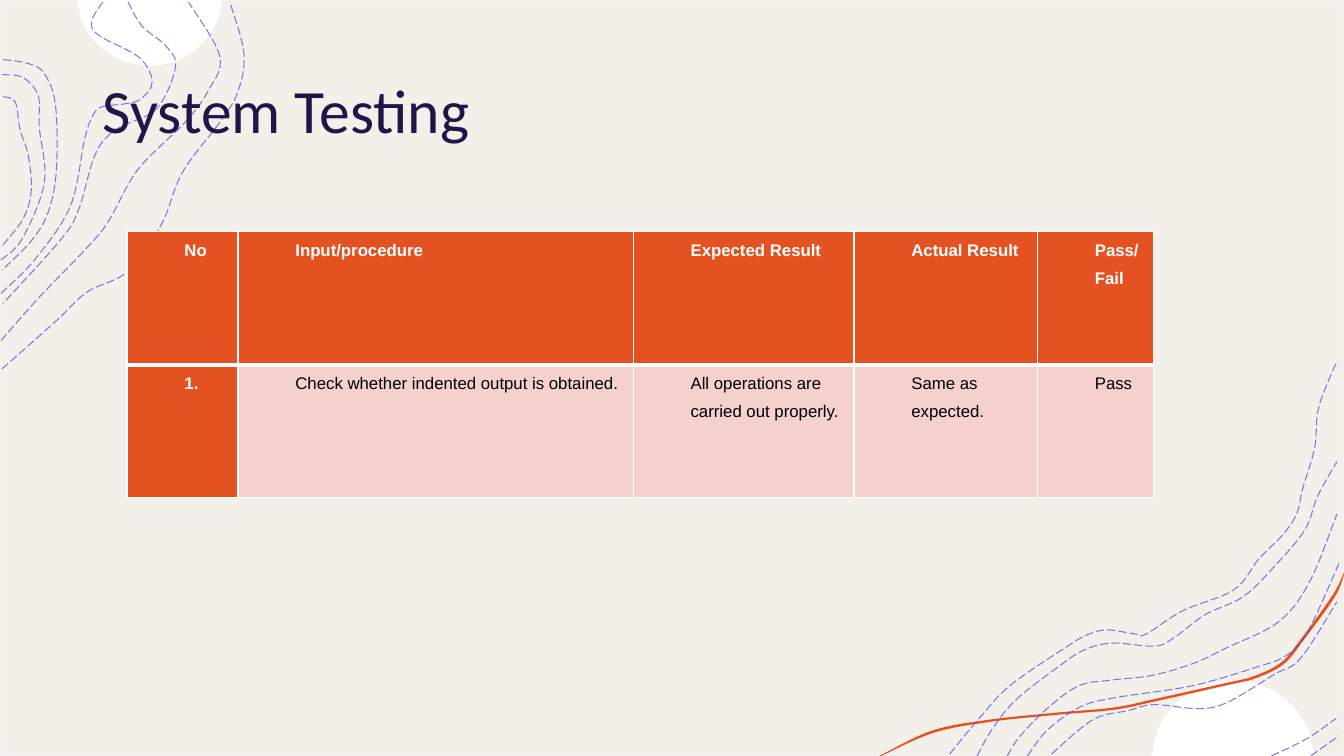
from math import asin, cos, pi, sin

from lxml import etree
from pptx import Presentation, util as u
from pptx.dml.color import RGBColor
from pptx.enum import dml, shapes, text
from pptx.oxml import ns

WIDTH, HEIGHT = 13.33, 7.5
CREAM = RGBColor(0xF3, 0xF0, 0xE9)
EDGE = RGBColor(0xF2, 0xF2, 0xF2)
WHITE = RGBColor(0xFF, 0xFF, 0xFF)
BLACK = RGBColor(0, 0, 0)
ORANGE = RGBColor(0xE4, 0x52, 0x21)
PINK = RGBColor(0xF5, 0xD1, 0xCD)
VIOLET = RGBColor(0x4D, 0x4E, 0xE6)
NAVY = RGBColor(0x20, 0x14, 0x49)

# Knots of the contour lines, in inches from the corner box
TOP_LEFT = [
    [(.02, 3.66), (.55, 3.19), (.86, 2.9), (1.27, 2.69), (1.6, 2.23), (1.81, 1.71),
     (2.19, 1.2), (2.36, .91), (2.42, .53), (2.28, .02)],
    [(.01, 3.38), (.38, 2.96), (.88, 2.44), (1.08, 2.19), (1.37, 1.68), (1.83, 1.22),
     (2.06, .91), (2.18, .56), (1.87, .02)],
    [(1.27, .02), (1.41, .26), (1.65, .46), (1.74, .67), (1.55, 1.08), (1.16, 1.28),
     (.95, 1.52), (.78, 2.08), (.6, 2.38), (.03, 3.01)],
    [(.01, 2.91), (.35, 2.57), (.7, 2.04), (.84, 1.38), (.92, 1.15), (1.01, 1.06),
     (1.24, 1.03), (1.4, .98), (1.51, .81), (1.38, .57), (.98, .35), (.91, .21), (1.02, .02)],
    [(.03, .59), (.28, .63), (.44, .73), (.55, 1.04), (.56, 1.68), (.48, 2.1), (.31, 2.39),
     (.02, 2.68)],
    [(.02, .74), (.23, .77), (.38, .95), (.39, 1.26), (.44, 1.81), (.22, 2.37), (.01, 2.58)],
    [(.03, .96), (.15, 1.01), (.2, 1.29), (.28, 1.54), (.31, 1.89), (.23, 2.17), (.03, 2.43)],
]
BOTTOM_RIGHT = [
    [(1.42, 4.48), (1.71, 4.13), (2.02, 3.8), (2.56, 3.43), (2.78, 3.3), (2.98, 3.25),
     (3.26, 3.29), (3.37, 3.29), (3.73, 3.06), (4.24, 2.85), (4.49, 2.54), (4.72, 2.31),
     (4.86, 2.1), (4.92, 1.85), (5.04, 1.44), (5.08, 1.04), (5.26, .58)],
    [(1.69, 4.5), (1.85, 4.22), (2.08, 3.94), (2.49, 3.62), (2.75, 3.45), (3.03, 3.38),
     (3.45, 3.41), (3.64, 3.33), (3.95, 3.1), (4.33, 2.92), (4.63, 2.63), (4.94, 2.26),
     (5.07, 1.92), (5.26, 1.58)],
    [(5, 4.5), (5.28, 4.3)],
    [(4.61, 4.5), (4.96, 4.33), (5.25, 4.13)],
    [(2.43, 4.48), (2.84, 4.14), (3.19, 4.05), (3.45, 3.99), (3.88, 4.03), (4.17, 3.97),
     (4.64, 3.69), (4.9, 3.53), (5.26, 2.97)],
    [(2.19, 4.5), (2.39, 4.24), (2.72, 4.01), (3.07, 3.92), (3.84, 3.8), (4.52, 3.6),
     (4.71, 3.53), (4.88, 3.4), (5.03, 3.15), (5.28, 2.59)],
    [(1.99, 4.5), (2.12, 4.3), (2.42, 4), (2.71, 3.8), (3, 3.75), (3.43, 3.7), (3.84, 3.58),
     (4.16, 3.43), (4.68, 3.17), (4.99, 2.77), (5.26, 2.1)],
]
RIBBON = [(.72, 4.5), (1.24, 4.25), (1.81, 4.14), (2.48, 4.07), (3.04, 4.02), (3.43, 3.94),
          (4.14, 3.78), (4.43, 3.71), (4.71, 3.57), (4.91, 3.33), (5.22, 2.9), (5.33, 2.68)]

COLUMNS = [1.1, 3.92, 2.19, 1.82, 1.15]
ROWS = [
    ["No", "Input/procedure", "Expected Result", "Actual Result", "Pass/Fail"],
    ["1.", "Check whether indented output is obtained.",
     "All operations are carried out properly.", "Same as expected.", "Pass"],
]


def smooth(shape):
    """Turn the straight segments into curves through the same knots."""
    knots = [(int(knot.get("x")), int(knot.get("y"))) for knot in shape.element.iter(ns.qn("a:pt"))]
    padded = [knots[0], *knots, knots[-1]]
    segments = list(shape.element.iter(ns.qn("a:lnTo")))
    for segment, a, b, c, d in zip(segments, padded, padded[1:], padded[2:], padded[3:]):
        segment.tag = ns.qn("a:cubicBezTo")
        controls = [[q + (r - p) / 6 for p, q, r in zip(a, b, c)],
                    [r - (s - q) / 6 for q, r, s in zip(b, c, d)]]
        for place, (x, y) in enumerate(controls):
            segment.insert(place, etree.Element(ns.qn("a:pt"), x=str(round(x)), y=str(round(y))))


def add_outline(parent, box, points, fill=None):
    placed = [(u.Inches(box[0] + x), u.Inches(box[1] + y)) for x, y in points]
    builder = parent.build_freeform(*placed[0], scale=1.0)
    builder.add_line_segments(placed[1:], close=fill is not None)
    shape = builder.convert_to_shape()
    smooth(shape)
    shape.shadow.inherit = False
    if fill is None:
        shape.fill.background()
    else:
        shape.fill.solid()
        shape.fill.fore_color.rgb = fill
        shape.line.fill.background()
    return shape


def add_backdrop(page):
    panel = page.shapes.add_shape(shapes.MSO_SHAPE.RECTANGLE, 0, 0, u.Inches(WIDTH), u.Inches(HEIGHT))
    panel.shadow.inherit = False
    panel.fill.solid()
    panel.fill.fore_color.rgb = CREAM
    panel.line.color.rgb = EDGE
    panel.line.width = u.Pt(1)


def add_cap(page, box, side):
    """Circle segment filling the box; side is 1 for a dome, -1 for a bowl."""
    width, height = box[2:]
    radius = (width ** 2 / 4 + height ** 2) / (2 * height)
    reach = asin(width / 2 / radius)
    if height > radius:
        reach = pi - reach
    angles = [reach * step / 4 for step in range(-4, 5)]
    rises = [height - radius + radius * cos(angle) for angle in angles]
    points = [(width / 2 + radius * sin(angle), height - rise if side > 0 else rise)
              for angle, rise in zip(angles, rises)]
    add_outline(page.shapes, box, points, WHITE)


def add_ribbon(page, box):
    lower = [(min(x + .02, box[2]), min(y + .02, box[3])) for x, y in RIBBON]
    add_outline(page.shapes, box, RIBBON + lower[::-1], ORANGE)


def add_contours(page, box, contours):
    group = page.shapes.add_group_shape()
    for knots in contours:
        contour = add_outline(group.shapes, box, knots)
        contour.line.color.rgb = VIOLET
        contour.line.width = u.Pt(.75)
        contour.line.dash_style = dml.MSO_LINE.LONG_DASH
        color = contour.element.spPr.find(ns.qn("a:ln")).find(".//" + ns.qn("a:srgbClr"))
        etree.SubElement(color, ns.qn("a:alpha"), val="75000")


def add_title(page, box, words):
    title = page.shapes.title
    page.shapes.element.append(title.element)  # bring in front of the decoration
    title.left, title.top, title.width, title.height = map(u.Inches, box)
    frame = title.text_frame
    frame.text = words
    frame.vertical_anchor = text.MSO_ANCHOR.MIDDLE
    para = frame.paragraphs[0]
    para.alignment = text.PP_ALIGN.LEFT
    para.line_spacing = .9
    font = para.runs[0].font
    font.name, font.size, font.color.rgb = "Calibri", u.Pt(44), NAVY


def set_borders(cell, widths):
    props = cell._tc.get_or_add_tcPr()
    for side, width in widths.items():
        line = etree.SubElement(props, ns.qn("a:ln" + side), w=str(u.Pt(width)))
        fill = etree.SubElement(line, ns.qn("a:solidFill"))
        etree.SubElement(fill, ns.qn("a:srgbClr"), val=str(WHITE))


def fill_cell(cell, words, heading, header_row, last):
    set_borders(cell, {"L": 1, "R": 1, "T": 1 if header_row else 3, "B": 3 if header_row else 1})
    cell.fill.solid()
    cell.fill.fore_color.rgb = ORANGE if heading else PINK
    cell.margin_left = cell.margin_right = u.Inches(.07)
    cell.margin_top = cell.margin_bottom = 0
    cell.text_frame.text = words
    para = cell.text_frame.paragraphs[0]
    props = para._p.get_or_add_pPr()
    props.set("marL", str(u.Inches(.5)))
    props.set("indent", "0")
    para.line_spacing = 1.5
    if last:
        para.space_after = u.Pt(10)
    font = para.runs[0].font
    font.name, font.size, font.bold = "Arial", u.Pt(12), heading
    font.color.rgb = WHITE if heading else BLACK


def add_results(page, box):
    table = page.shapes.add_table(len(ROWS), len(COLUMNS), *map(u.Inches, box)).table
    for column, width in zip(table.columns, COLUMNS):
        column.width = u.Inches(box[2] * width / sum(COLUMNS))
    for r, row in enumerate(ROWS):
        for c, words in enumerate(row):
            fill_cell(table.cell(r, c), words, r == 0 or c == 0, r == 0, c == len(row) - 1)


def main():
    deck = Presentation()
    deck.slide_width, deck.slide_height = u.Inches(WIDTH), u.Inches(HEIGHT)
    page = deck.slides.add_slide(deck.slide_layouts[5])
    corner = (8, 3, WIDTH - 8, HEIGHT - 3)
    add_backdrop(page)
    add_cap(page, (.76, 0, 1.45, .65), -1)
    add_cap(page, (11.42, 6.75, 1.62, .75), 1)
    add_ribbon(page, corner)
    add_contours(page, (0, 0), TOP_LEFT)
    add_contours(page, corner, BOTTOM_RIGHT)
    add_title(page, (.92, .4, 11.5, 1.45), "System Testing")
    add_results(page, (1.26, 2.3, 10.18, 2.64))
    deck.save("out.pptx")


if __name__ == "__main__":
    main()
